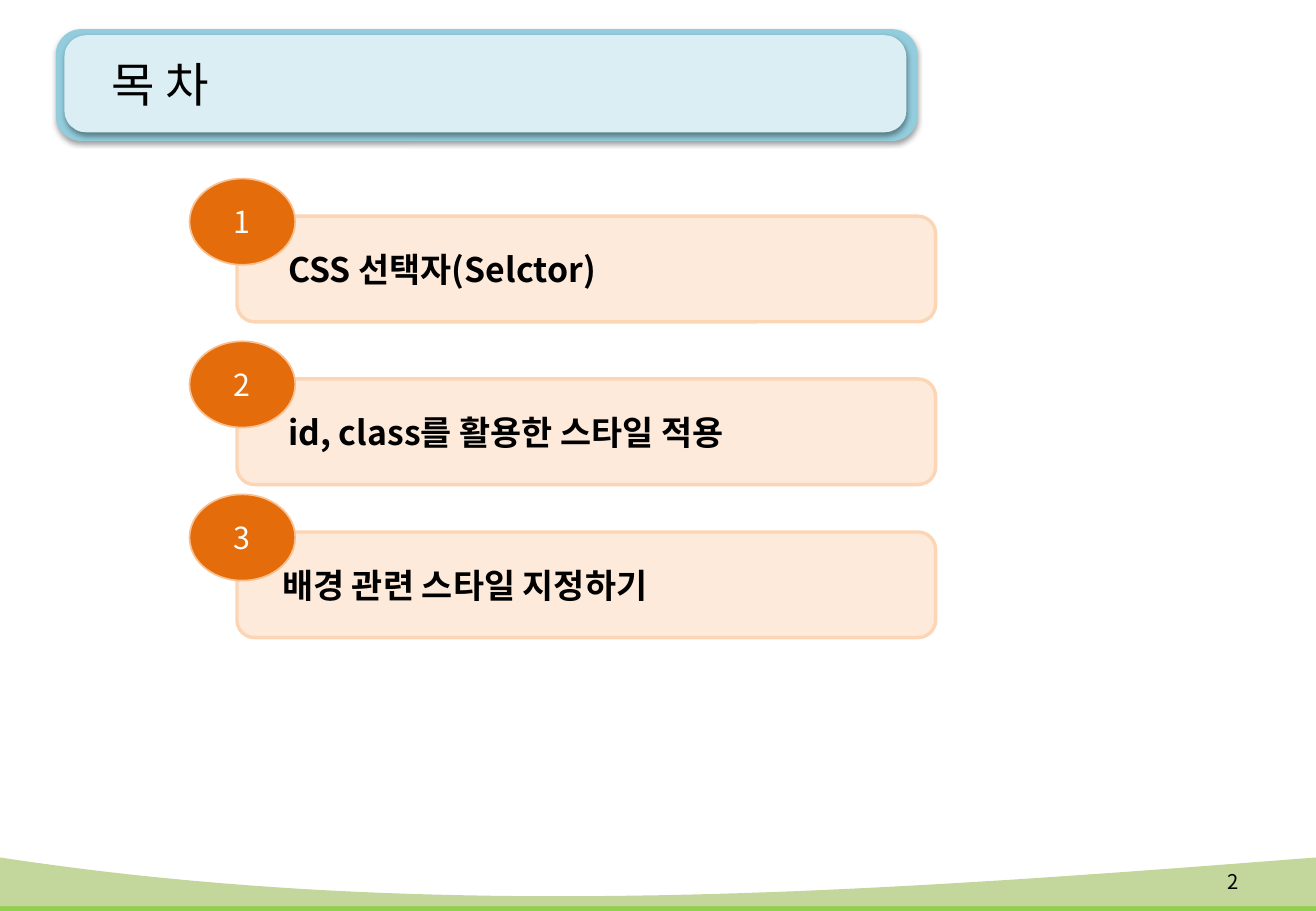
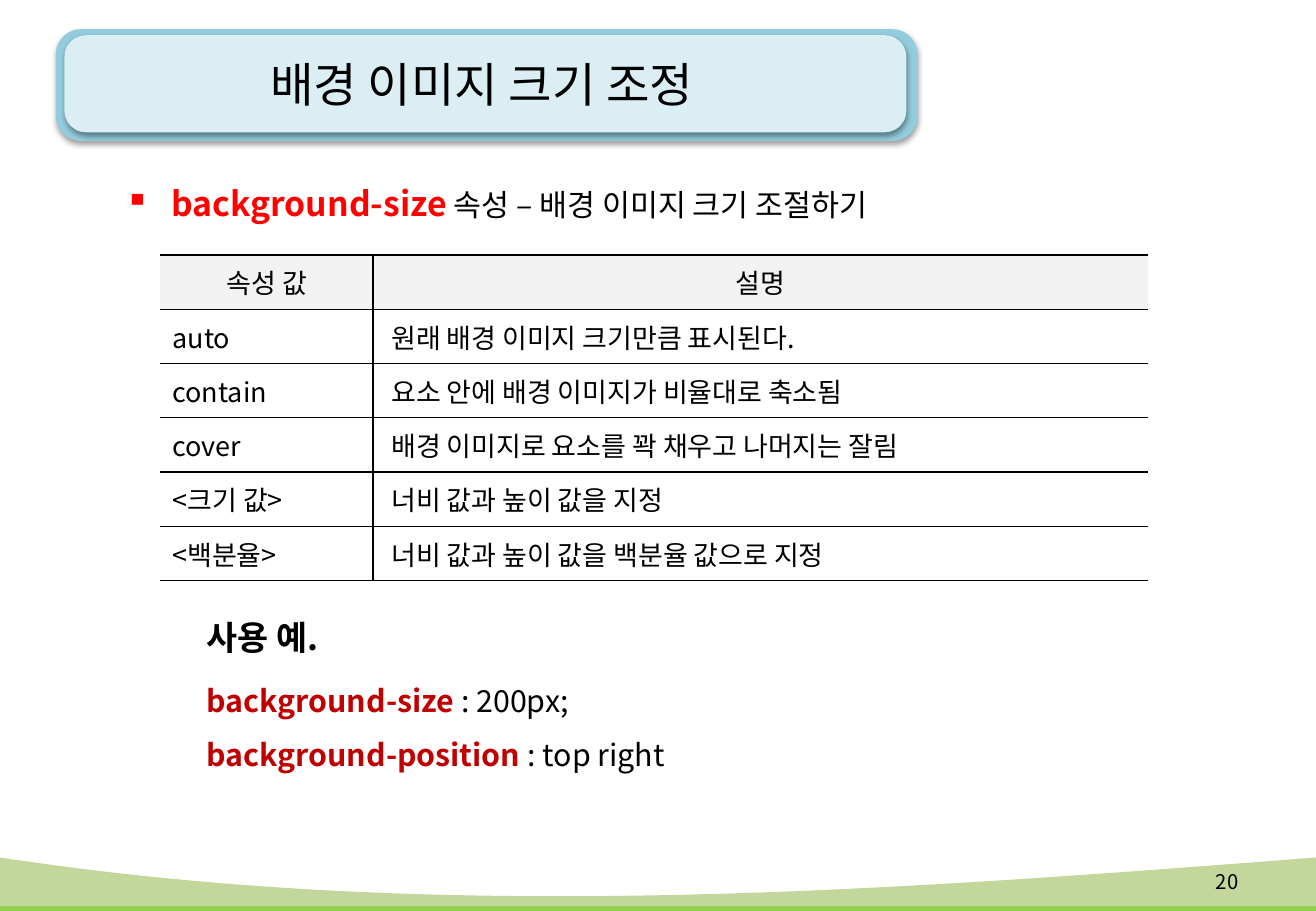
import pptx
import pptx.util
import pptx.dml.color
import pptx.enum.shapes
import pptx.enum.text
import pptx.oxml.ns
import lxml.etree

Inches = pptx.util.Inches
Pt = pptx.util.Pt
qn = pptx.oxml.ns.qn
color = pptx.dml.color.RGBColor.from_string
SHAPE = pptx.enum.shapes.MSO_SHAPE
ALIGN = pptx.enum.text.PP_ALIGN
MIDDLE = pptx.enum.text.MSO_ANCHOR.MIDDLE

FONT = "Noto Sans CJK KR"
BLACK = "000000"
WIDTH, HEIGHT = 10.83, 7.5


def paint(shape, fill, line=None, line_width=1):
    shape.shadow.inherit = False
    shape.fill.solid()
    shape.fill.fore_color.rgb = color(fill)
    if line:
        shape.line.color.rgb = color(line)
        shape.line.width = Pt(line_width)
    else:
        shape.line.fill.background()


def write(para, pieces, align=ALIGN.LEFT):
    para.alignment = align
    for text, size, ink, bold in pieces:
        span = para.add_run()
        span.text = text
        span.font.size = Pt(size)
        span.font.bold = bold
        span.font.color.rgb = color(ink)
        span.font.name = FONT
        lxml.etree.SubElement(span.font._element, qn("a:ea"), typeface=FONT)


deck = pptx.Presentation()
deck.slide_width = Inches(WIDTH)
deck.slide_height = Inches(HEIGHT)

bands = [
    ("92D050", (7.24, 7.6, 7.43, 7.24), HEIGHT),
    ("C3D69B", (7.06, 7.61, 7.34, 7.06), 7.46),
]
title_frames = [
    ("93CDDD", 0.46, 0.24, 7.09, 0.92),
    ("DBEEF4", 0.53, 0.29, 6.93, 0.8),
]
headings = [
    ("목 차", ALIGN.LEFT, 0.46, "2"),
    ("배경 이미지 크기 조정", ALIGN.CENTER, 0.1, "20"),
]
STEPS = 48

for title, title_align, title_indent, number in headings:
    page = deck.slides.add_slide(deck.slide_layouts[6])
    for fill, (y0, y1, y2, y3), bottom in bands:
        edge = []
        for step in range(STEPS + 1):
            t = step / STEPS
            s = 1 - t
            y = s**3 * y0 + 3 * s * s * t * y1 + 3 * s * t * t * y2 + t**3 * y3
            edge.append((Inches(WIDTH * t), Inches(y)))
        outline = page.shapes.build_freeform(*edge[0])
        corners = [(Inches(WIDTH), Inches(bottom)), (0, Inches(bottom))]
        outline.add_line_segments(edge[1:] + corners, close=True)
        paint(outline.convert_to_shape(), fill)

    for fill, *place in title_frames:
        frame = page.shapes.add_shape(SHAPE.ROUNDED_RECTANGLE, *map(Inches, place))
        frame.adjustments[0] = 0.225
        paint(frame, fill)
        effects = frame._element.spPr.find(qn("a:effectLst"))
        shadow = lxml.etree.SubElement(
            effects, qn("a:outerShdw"), blurRad=str(Pt(3.1)), dist=str(Pt(1.6)),
            dir="5400000", rotWithShape="0")
        ink = lxml.etree.SubElement(shadow, qn("a:srgbClr"), val=BLACK)
        lxml.etree.SubElement(ink, qn("a:alpha"), val="38000")

    labels = [
        (title, 28, title_align, title_indent, (0.46, 0.22, 7.01, 0.94)),
        (number, 12, ALIGN.RIGHT, 0.1, (9.68, 7.06, 0.61, 0.4)),
    ]
    for text, size, align, indent, place in labels:
        box = page.shapes.add_textbox(*map(Inches, place))
        box.text_frame.word_wrap = True
        box.text_frame.vertical_anchor = MIDDLE
        box.text_frame.margin_left = Inches(indent)
        write(box.text_frame.paragraphs[0], [(text, size, BLACK, False)], align)

contents_page, size_page = deck.slides

topics = [
    (1.78, 0.38, "CSS 선택자(Selctor)"),
    (3.12, 0.38, "id, class를 활용한 스타일 적용"),
    (4.38, 0.33, "배경 관련 스타일 지정하기"),
]
for order, (top, indent, topic) in enumerate(topics, 1):
    card = contents_page.shapes.add_shape(
        SHAPE.ROUNDED_RECTANGLE, Inches(1.95), Inches(top), Inches(5.75), Inches(0.87))
    paint(card, "FDEADA", "FCD5B5", 2)
    card.text_frame.margin_left = Inches(indent)
    badge = contents_page.shapes.add_shape(
        SHAPE.OVAL, Inches(1.56), Inches(top - 0.31), Inches(0.87), Inches(0.71))
    paint(badge, "E46C0A", "FAC090")
    card.text_frame.vertical_anchor = badge.text_frame.vertical_anchor = MIDDLE
    write(card.text_frame.paragraphs[0], [(topic, 20, BLACK, True)])
    write(badge.text_frame.paragraphs[0], [(str(order), 18, "FFFFFF", False)], ALIGN.CENTER)

intro = size_page.shapes.add_textbox(Inches(0.93), Inches(1.29), Inches(7.4), Inches(0.61))
intro.text_frame.word_wrap = True
para = intro.text_frame.paragraphs[0]
para.line_spacing = 1.5
write(para, [
    ("background-size", 20, "FF0000", True),
    (" 속성 – 배경 이미지 크기 조절하기", 18, BLACK, False),
])
bullet = para._p.get_or_add_pPr()
bullet.set("marL", str(Inches(0.38)))
bullet.set("indent", str(-Inches(0.38)))
lxml.etree.SubElement(bullet, qn("a:buChar"), char="▪")

rows = [
    ("속성 값", "설명"),
    ("auto", "원래 배경 이미지 크기만큼 표시된다."),
    ("contain", "요소 안에 배경 이미지가 비율대로 축소됨"),
    ("cover", "배경 이미지로 요소를 꽉 채우고 나머지는 잘림"),
    ("<크기 값>", "너비 값과 높이 값을 지정"),
    ("<백분율>", "너비 값과 높이 값을 백분율 값으로 지정"),
]
table = size_page.shapes.add_table(
    len(rows), 2, Inches(1.32), Inches(2.1), Inches(8.13), Inches(2.68)).table
table.horz_banding = False
table._tbl.tblPr.find(qn("a:tableStyleId")).text = "{2D5ABB26-0587-4C30-8999-92F81FD0307C}"
table.columns[0].width = Inches(1.75)
table.columns[1].width = Inches(6.38)
for r, row in enumerate(rows):
    for c, text in enumerate(row):
        cell = table.cell(r, c)
        cell.vertical_anchor = MIDDLE
        if r == 0:
            cell.fill.solid()
            cell.fill.fore_color.rgb = color("F2F2F2")
        else:
            cell.fill.background()
            cell.margin_left = Inches((0.1, 0.15)[c])
        write(cell.text_frame.paragraphs[0], [(text, 16, BLACK, False)],
              ALIGN.LEFT if r else ALIGN.CENTER)
        sides = [("a:lnL", c == 1), ("a:lnR", c == 0), ("a:lnT", True), ("a:lnB", True)]
        properties = cell._tc.get_or_add_tcPr()
        for position, (side, drawn) in enumerate(sides):
            border = lxml.etree.Element(qn(side), w=str(Pt(1)))
            properties.insert(position, border)
            if drawn:
                solid = lxml.etree.SubElement(border, qn("a:solidFill"))
                lxml.etree.SubElement(solid, qn("a:srgbClr"), val=BLACK)
            else:
                lxml.etree.SubElement(border, qn("a:noFill"))

example = size_page.shapes.add_textbox(Inches(1.48), Inches(4.86), Inches(7.4), Inches(1.57))
example.text_frame.word_wrap = True
example.text_frame.margin_left = Inches(0.22)
example_lines = [
    (0, [("사용 예.", 20, BLACK, True)]),
    (4, [("background-size", 18, "C00000", True), (" : 200px;", 18, BLACK, False)]),
    (0, [("background-position ", 18, "C00000", True), (": top right", 18, BLACK, False)]),
]
for index, (gap, pieces) in enumerate(example_lines):
    para = example.text_frame.add_paragraph() if index else example.text_frame.paragraphs[0]
    para.line_spacing = 1.5
    para.space_before = Pt(gap)
    write(para, pieces)

deck.save("out.pptx")
